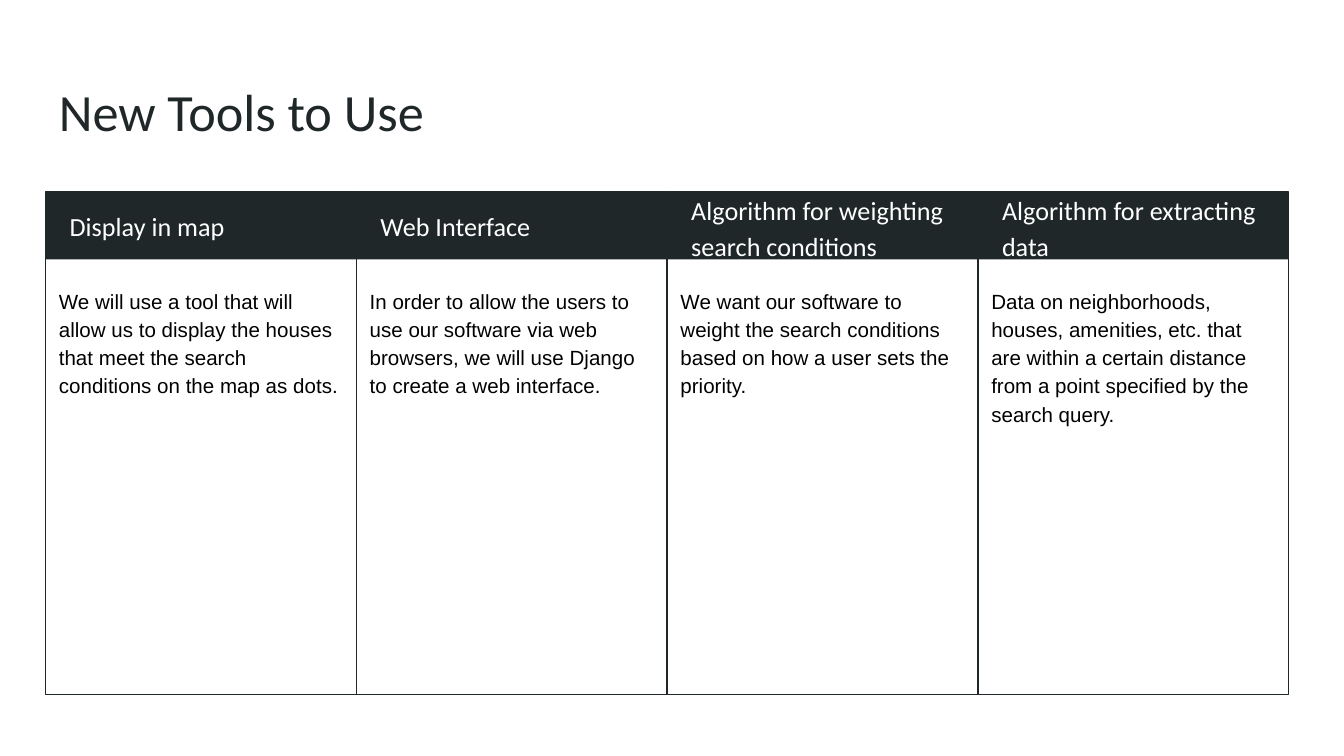
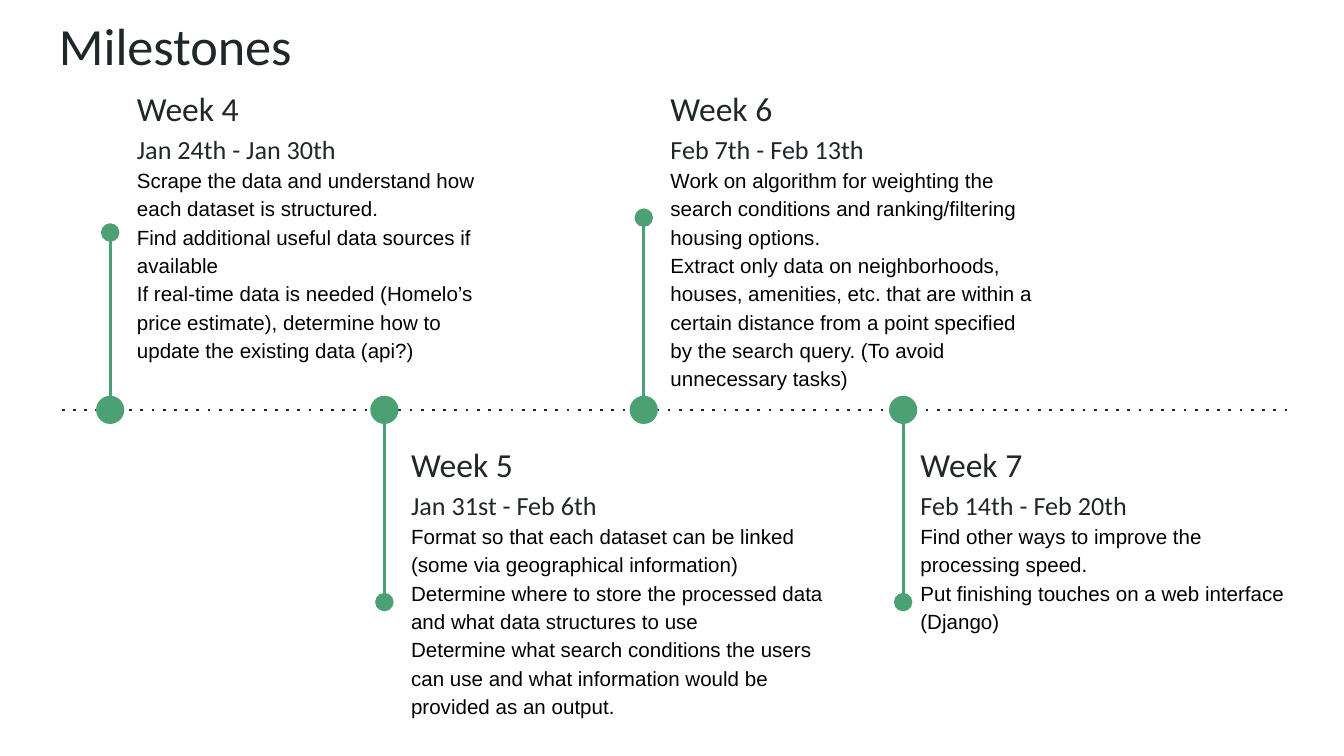
from dataclasses import dataclass

from lxml.etree import SubElement
from pptx import Presentation
from pptx.dml.color import RGBColor
from pptx.enum.shapes import MSO_CONNECTOR, MSO_SHAPE
from pptx.enum.text import MSO_ANCHOR
from pptx.oxml.ns import qn
from pptx.util import Inches, Pt


@dataclass(frozen=True)
class Theme:
    dark: RGBColor = RGBColor.from_string("202729")
    green: RGBColor = RGBColor.from_string("4BA173")
    white: RGBColor = RGBColor.from_string("FFFFFF")
    black: RGBColor = RGBColor.from_string("000000")
    heading_font: str = "Calibri"
    body_font: str = "Arial"
    title_size: int = 28
    week_size: int = 18
    heading_size: int = 14
    body_size: int = 11
    spacing: float = 1.15
    inset: float = 0.1
    margin: float = 0.34


THEME = Theme()

TOOLS = [
    ("Display in map",
     "We will use a tool that will allow us to display the houses that meet "
     "the search conditions on the map as dots."),
    ("Web Interface",
     "In order to allow the users to use our software via web browsers, we "
     "will use Django to create a web interface."),
    ("Algorithm for weighting search conditions",
     "We want our software to weight the search conditions based on how a "
     "user sets the priority."),
    ("Algorithm for extracting data",
     "Data on neighborhoods, houses, amenities, etc. that are within a "
     "certain distance from a point specified by the search query."),
]


@dataclass(frozen=True)
class Milestone:
    x: float
    stem_end: float
    text_box: tuple
    week: str
    dates: str
    tasks: tuple


MILESTONES = [
    Milestone(0.82, 1.73, (0.92, 0.51, 2.91, 1.54),
              "Week 4", "Jan 24th - Jan 30th",
              ("Scrape the data and understand how each dataset is structured.",
               "Find additional useful data sources if available",
               "If real-time data is needed (Homelo’s price estimate), "
               "determine how to update the existing data (api?)")),
    Milestone(2.86, 4.48, (2.96, 3.16, 3.29, 1.83),
              "Week 5", "Jan 31st - Feb 6th",
              ("Format so that each dataset can be linked (some via "
               "geographical information)",
               "Determine where to store the processed data and what data "
               "structures to use",
               "Determine what search conditions the users can use and what "
               "information would be provided as an output.")),
    Milestone(4.79, 1.62, (4.89, 0.51, 2.91, 1.06),
              "Week 6", "Feb 7th - Feb 13th",
              ("Work on algorithm for weighting the search conditions and "
               "ranking/filtering housing options.",
               "Extract only data on neighborhoods, houses, amenities, etc. "
               "that are within a certain distance from a point specified by "
               "the search query. (To avoid unnecessary tasks)")),
    Milestone(6.72, 4.48, (6.75, 3.16, 2.91, 1.06),
              "Week 7", "Feb 14th - Feb 20th",
              ("Find other ways to improve the processing speed.",
               "Put finishing touches on a web interface (Django)")),
]


def add_text_frame(page, left, top, width, height):
    box = page.shapes.add_textbox(Inches(left), Inches(top),
                                  Inches(width), Inches(height))
    frame = box.text_frame
    frame.word_wrap = True
    frame.vertical_anchor = MSO_ANCHOR.TOP
    frame.margin_left = frame.margin_right = Inches(THEME.inset)
    frame.margin_top = frame.margin_bottom = Inches(THEME.inset)
    return frame


def write(frame, text, size=THEME.body_size, font=THEME.body_font,
          color=THEME.black, spacing=THEME.spacing):
    """Fill the frame's empty first paragraph, or append another one."""
    para = frame.paragraphs[0]
    if para.runs:
        para = frame.add_paragraph()
    para.line_spacing = spacing
    span = para.add_run()
    span.text = text
    span.font.size = Pt(size)
    span.font.name = font
    span.font.color.rgb = color


def add_title(page, text, top):
    frame = add_text_frame(page, THEME.margin, top, 9.32, 0.63)
    write(frame, text, size=THEME.title_size, font=THEME.heading_font,
          color=THEME.dark, spacing=1.0)


def add_preset(holder, kind, left, top, width, height, fill=None,
               outline=None):
    """Draw a preset shape on a page or in a group."""
    shape = holder.shapes.add_shape(kind, Inches(left), Inches(top),
                                    Inches(width), Inches(height))
    shape.shadow.inherit = False
    if fill is None:
        shape.fill.background()
    else:
        shape.fill.solid()
        shape.fill.fore_color.rgb = fill
    if outline is None:
        shape.line.fill.background()
    else:
        shape.line.color.rgb = outline
        shape.line.width = Pt(0.75)


def add_line(holder, start, end, color, dash=None, tail=None):
    line = holder.shapes.add_connector(MSO_CONNECTOR.STRAIGHT,
                                       *map(Inches, start + end))
    line.line.color.rgb = color
    line.line.width = Pt(1.5)
    outline = line.get_or_add_ln()
    if dash:
        SubElement(outline, qn("a:prstDash"), val=dash)
    if tail:
        SubElement(outline, qn("a:tailEnd"), type=tail, w="lg", len="lg")
    SubElement(line.element.spPr, qn("a:effectLst"))


def add_tool_column(page, index, heading, description):
    top, width = 1.43, 9.25 / len(TOOLS)
    left = THEME.margin + index * width
    card = page.shapes.add_group_shape()
    add_preset(card, MSO_SHAPE.RECTANGLE, left, top, width, 0.5,
               fill=THEME.dark)
    add_preset(card, MSO_SHAPE.RECTANGLE, left, top, width, 3.74,
               outline=THEME.dark)
    write(add_text_frame(page, left, 2.02, width, 3.06), description)

    wraps = len(heading) > 20
    heading_top = top - 0.12 if wraps else top
    frame = add_text_frame(page, left + 0.08, heading_top, 2.23,
                           1.94 - heading_top)
    write(frame, heading, size=THEME.heading_size, font=THEME.heading_font,
          color=THEME.white)


def add_milestone(page, milestone, axis):
    dot = 0.21
    side = dot / 2 if milestone.stem_end > axis else -dot / 2
    marker = page.shapes.add_group_shape()
    add_line(marker, (milestone.x, axis + side),
             (milestone.x, milestone.stem_end), THEME.green, tail="oval")
    add_preset(marker, MSO_SHAPE.OVAL, milestone.x - dot / 2, axis - dot / 2,
               dot, dot, fill=THEME.green)

    frame = add_text_frame(page, *milestone.text_box)
    for text, size in ((milestone.week, THEME.week_size),
                       (milestone.dates, THEME.heading_size)):
        write(frame, text, size=size, font=THEME.heading_font,
              color=THEME.dark)
    for task in milestone.tasks:
        write(frame, task)


def build_tools(page):
    add_title(page, "New Tools to Use", top=0.49)
    for index, (heading, description) in enumerate(TOOLS):
        add_tool_column(page, index, heading, description)


def build_milestones(page):
    axis = 3.05
    add_line(page, (0.46, axis), (9.58, axis), THEME.dark, dash="dot")
    add_title(page, "Milestones", top=0)
    for milestone in MILESTONES:
        add_milestone(page, milestone, axis)


def main():
    deck = Presentation()
    deck.slide_width = Inches(10)
    deck.slide_height = deck.slide_width * 9 // 16
    blank = deck.slide_layouts[6]
    for build in (build_tools, build_milestones):
        page = deck.slides.add_slide(blank)
        page.background.fill.solid()
        page.background.fill.fore_color.rgb = THEME.white
        build(page)
    deck.save("out.pptx")


if __name__ == "__main__":
    main()
